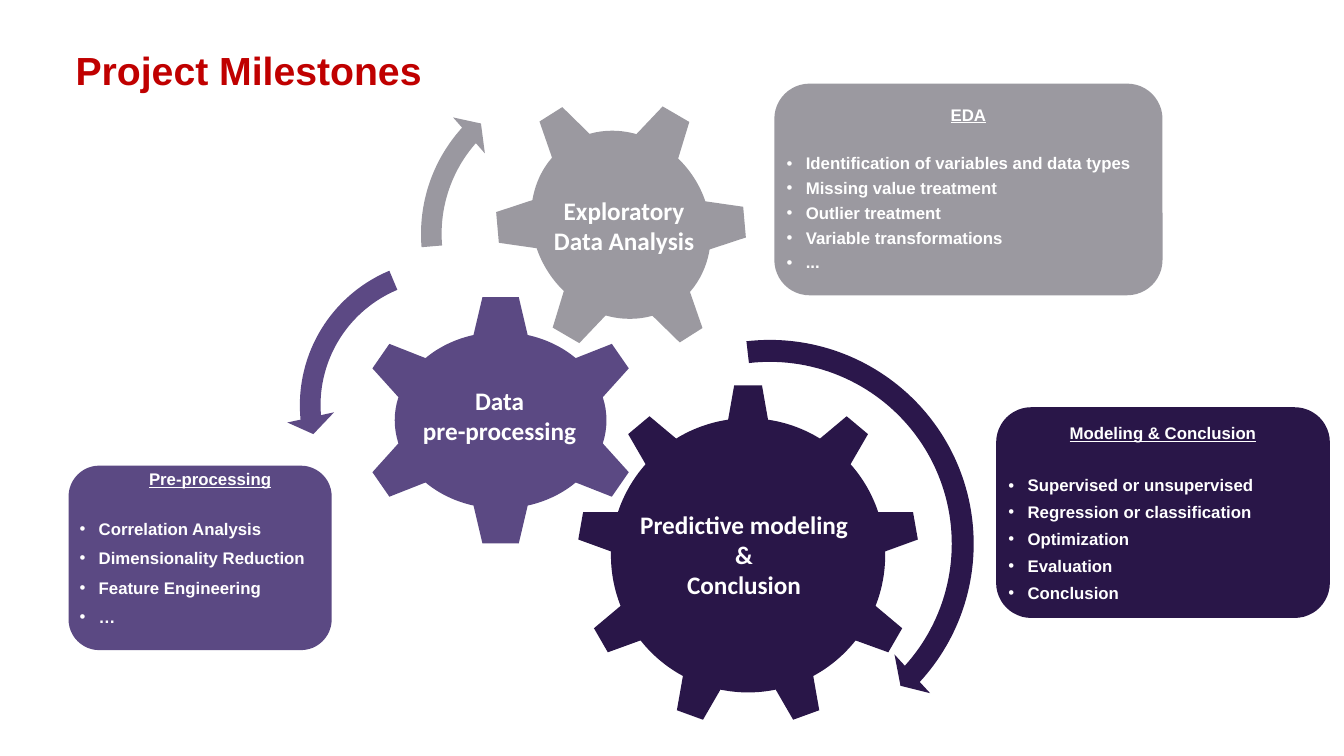
from lxml import etree
from pptx import Presentation
from pptx.dml.color import RGBColor
from pptx.enum.shapes import MSO_SHAPE
from pptx.enum.text import MSO_ANCHOR, PP_ALIGN
from pptx.oxml.ns import qn
from pptx.util import Inches, Pt

COLORS = {
    "title": "C00000",
    "text": "FFFFFF",
    "exploration": "9B99A0",
    "processing": "5B4983",
    "modeling": "291648",
    "exploration_arrow": "9A98A0",
    "processing_arrow": "5C4984",
    "modeling_arrow": "2B174B",
}

# Kind, box, colour, rotation
GEARS = [
    (MSO_SHAPE.GEAR_9, (5.72, 3.81, 3.4, 3.4), "modeling", 0),
    (MSO_SHAPE.GEAR_6, (3.54, 2.92, 2.85, 2.5), "processing", 0),
    (MSO_SHAPE.GEAR_6, (4.93, 0.9, 2.46, 2.66), "exploration", 327.6),
]

# Kind, box, colour, adjustments
ARROWS = [
    (MSO_SHAPE.CIRCULAR_ARROW, (5.46, 3.22, 4.35, 4.35), "modeling_arrow",
     (0.05, 2.99, 25.43, 158.06, 0.06)),
    (MSO_SHAPE.LEFT_CIRCULAR_ARROW, (2.84, 2.44, 3.16, 3.16), "processing_arrow",
     (0.065, 4.3, 104.89, 148.38, 0.075)),
    (MSO_SHAPE.CIRCULAR_ARROW, (4.04, 0.62, 3.4, 3.4), "exploration_arrow",
     (0.06, 3.94, 133.14, 105.08, 0.07)),
]

# Box, text, wrap
GEAR_LABELS = [
    ((5.32, 1.89, 1.74, 0.72), "Exploratory Data Analysis", True),
    ((4, 3.77, 1.91, 0.71), "Data\npre-processing", True),
    ((6.19, 5, 2.38, 1.01), "Predictive modeling\n&\nConclusion", False),
]

# Spacing in points: gap below the heading, gap between bullets
CARDS = [
    {"box": (7.68, 0.83, 3.85, 2.1), "color": "exploration", "heading": "EDA",
     "items": ["Identification of variables and data types",
               "Missing value treatment", "Outlier treatment",
               "Variable transformations", "..."],
     "heading_gap": 21.9, "item_gap": 4.7, "line_spacing": 0.9},
    {"box": (0.68, 4.62, 2.61, 1.83), "color": "processing",
     "heading": "Pre-processing",
     "items": ["Correlation Analysis", "Dimensionality Reduction",
               "Feature Engineering", "…"],
     "heading_gap": 21.2, "item_gap": 6.6, "heading_indent": 0.2,
     "bottom_margin": 0.22},
    {"box": (9.88, 4.04, 3.31, 2.09), "color": "modeling",
     "heading": "Modeling & Conclusion",
     "items": ["Supervised or unsupervised", "Regression or classification",
               "Optimization", "Evaluation", "Conclusion"],
     "heading_gap": 23.3, "item_gap": 4.8},
]


def rgb(name):
    return RGBColor.from_string(COLORS[name])


def format_runs(paragraph, size, font_name, color="text", underline=None):
    for run in paragraph.runs:
        font = run.font
        font.size = Pt(size)
        font.name = font_name
        font.bold = True
        font.underline = underline
        font.color.rgb = rgb(color)


def set_indent(paragraph, left, first_line=0.0, bullet=None):
    properties = paragraph._p.get_or_add_pPr()
    properties.set("marL", str(Inches(left)))
    properties.set("indent", str(Inches(first_line)))
    if bullet:
        etree.SubElement(properties, qn("a:buFont"), typeface="Arial")
        etree.SubElement(properties, qn("a:buChar"), char=bullet)


def add_filled_shape(slide, kind, box, color, adjustments=()):
    shape = slide.shapes.add_shape(kind, *map(Inches, box))
    shape.shadow.inherit = False
    shape.fill.solid()
    shape.fill.fore_color.rgb = rgb(color)
    shape.line.fill.background()
    for index, value in enumerate(adjustments):
        shape.adjustments[index] = value
    return shape


def add_title(slide, text):
    title = slide.shapes.title
    title.left, title.top, title.width, title.height = map(
        Inches, (0.65, 0.17, 4.9, 1.1))
    title.text_frame.text = text
    title.text_frame.vertical_anchor = MSO_ANCHOR.MIDDLE
    paragraph = title.text_frame.paragraphs[0]
    paragraph.alignment = PP_ALIGN.LEFT
    paragraph.line_spacing = 0.9
    format_runs(paragraph, 28, "Arial", "title")


def add_gear_label(slide, box, text, wrap):
    text_frame = slide.shapes.add_textbox(*map(Inches, box)).text_frame
    text_frame.word_wrap = wrap
    text_frame.text = text
    for paragraph in text_frame.paragraphs:
        paragraph.alignment = PP_ALIGN.CENTER
        format_runs(paragraph, 18, "Calibri")


def add_card(slide, card):
    shape = add_filled_shape(
        slide, MSO_SHAPE.ROUNDED_RECTANGLE, card["box"], card["color"])
    text_frame = shape.text_frame
    text_frame.word_wrap = True
    text_frame.vertical_anchor = MSO_ANCHOR.MIDDLE
    text_frame.margin_left = text_frame.margin_right = Inches(0.02)
    text_frame.margin_top = Inches(0.02)
    text_frame.margin_bottom = Inches(card.get("bottom_margin", 0.02))
    text_frame.text = "\n".join([card["heading"], *card["items"]])

    heading, *bullets = text_frame.paragraphs
    heading.alignment = PP_ALIGN.CENTER
    heading.line_spacing = card.get("line_spacing", 1.0)
    heading.space_after = Pt(card["heading_gap"])
    set_indent(heading, card.get("heading_indent", 0))
    format_runs(heading, 12, "Arial", underline=True)

    for paragraph in bullets:
        paragraph.alignment = PP_ALIGN.LEFT
        paragraph.line_spacing = card.get("line_spacing", 1.0)
        paragraph.space_after = Pt(card["item_gap"])
        set_indent(paragraph, 0.19, -0.19, "•")
        format_runs(paragraph, 12, "Arial")


def main():
    presentation = Presentation()
    presentation.slide_width = Inches(13.33)
    presentation.slide_height = Inches(7.5)
    slide = presentation.slides.add_slide(presentation.slide_layouts[5])

    add_title(slide, "Project Milestones")

    # Gears and the arrows that turn around them
    for kind, box, color, rotation in GEARS:
        add_filled_shape(slide, kind, box, color).rotation = rotation
    for arrow in ARROWS:
        add_filled_shape(slide, *arrow)
    for label in GEAR_LABELS:
        add_gear_label(slide, *label)

    # Detail cards
    for card in CARDS:
        add_card(slide, card)

    presentation.save("out.pptx")


if __name__ == "__main__":
    main()
